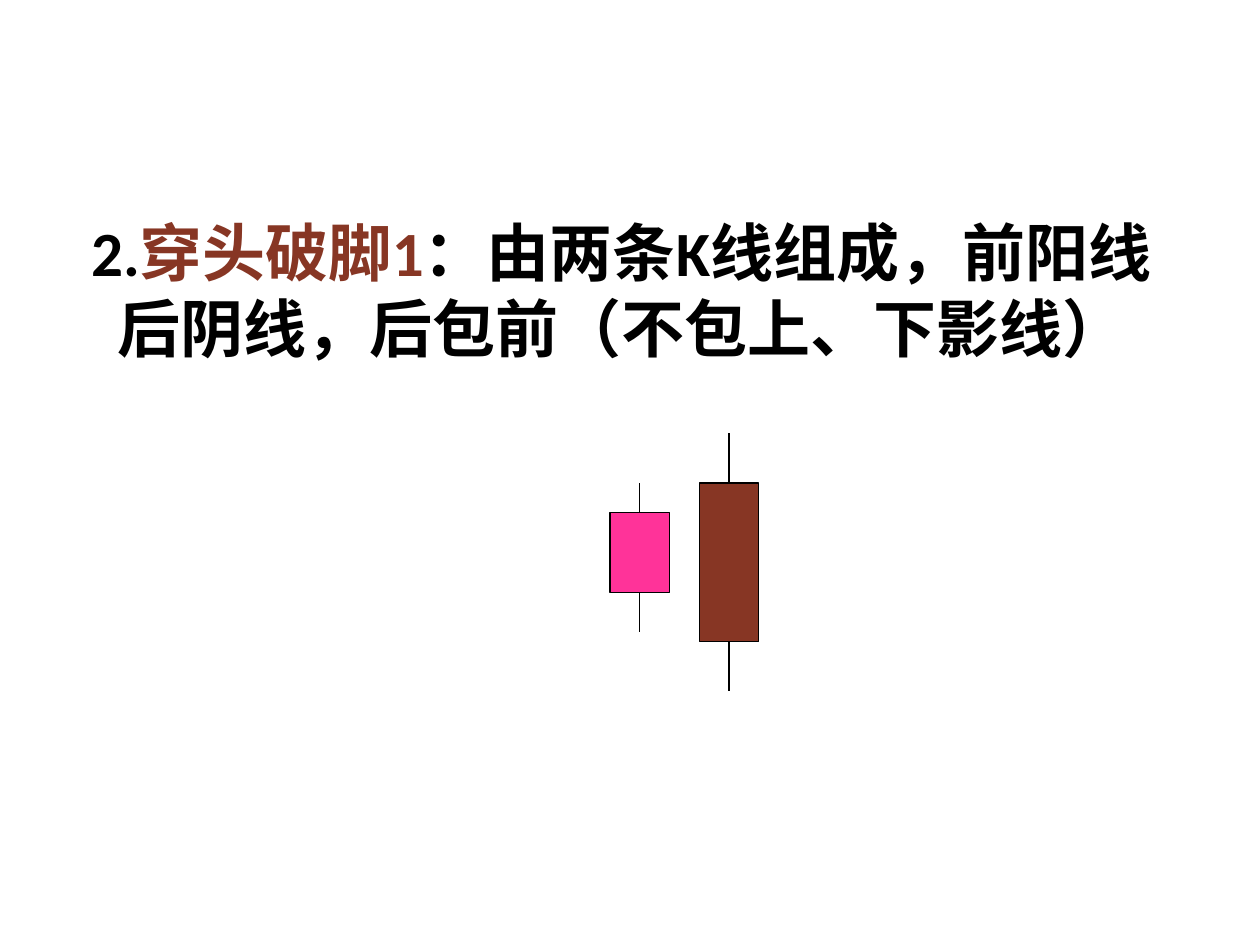
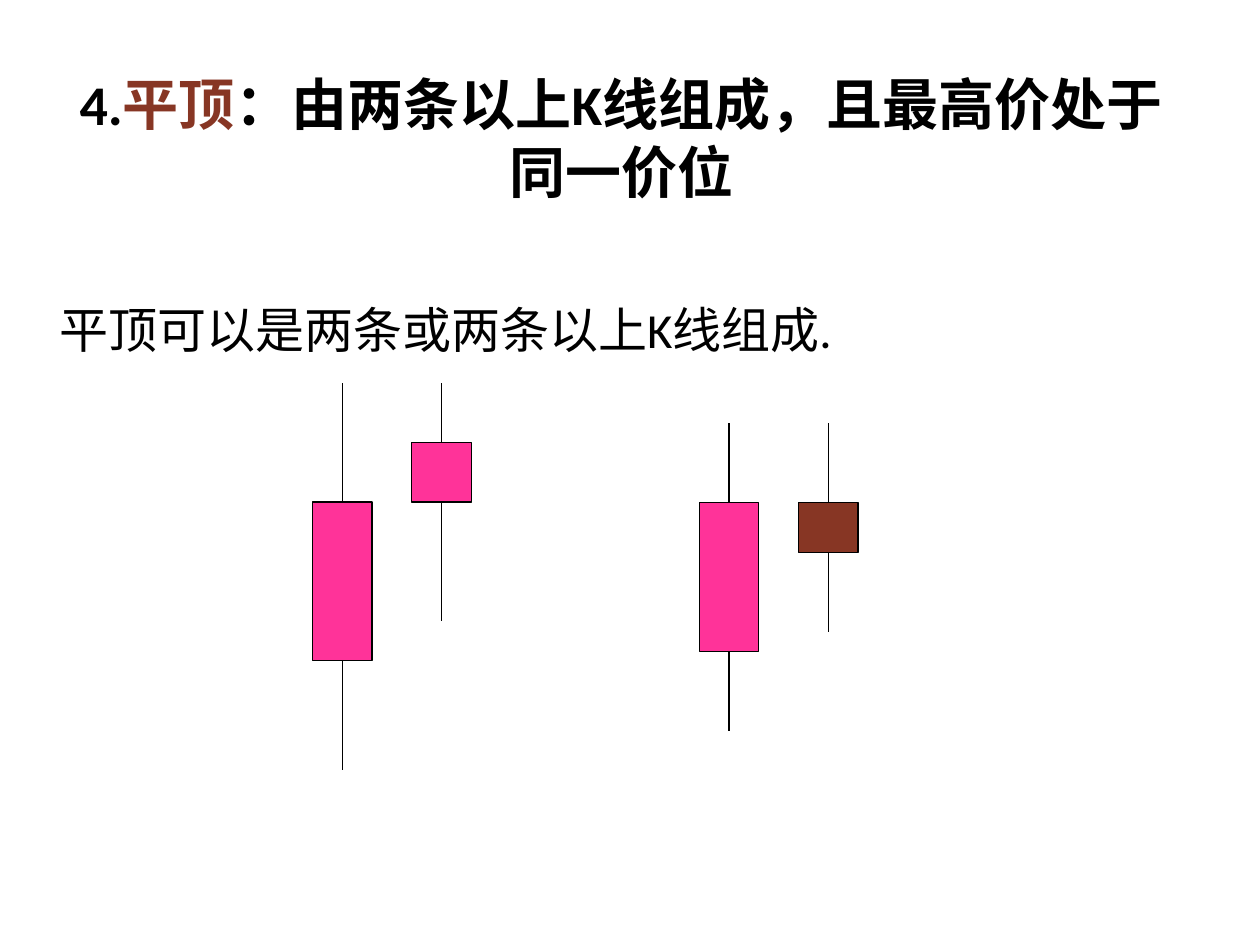
from lxml import etree
from pptx import Presentation
from pptx.dml.color import RGBColor
from pptx.enum.shapes import MSO_CONNECTOR, MSO_SHAPE
from pptx.enum.text import MSO_ANCHOR, PP_ALIGN
from pptx.oxml.ns import qn
from pptx.util import Pt

RECTANGLE = MSO_SHAPE.RECTANGLE
STRAIGHT = MSO_CONNECTOR.STRAIGHT
TOP, MIDDLE = MSO_ANCHOR.TOP, MSO_ANCHOR.MIDDLE
LEFT, CENTER = PP_ALIGN.LEFT, PP_ALIGN.CENTER
TOP_SITE, BOTTOM_SITE = 0, 2

COLORS = {"ink": "000000", "rising": "FF3399", "falling": "873624"}
FONT = "Calibri"
UNIT = 5.67
CANDLE_WIDTH = 6 * UNIT
LINE_WIDTH = 0.75


def rgb(name):
    return RGBColor.from_string(COLORS[name])


def add_text(slide, box, runs, size, bold=False, align=LEFT, anchor=TOP,
             left_inset=7.2, bottom_inset=3.6, space_before=0):
    frame = slide.shapes.add_textbox(*map(Pt, box)).text_frame
    frame.word_wrap = True
    frame.vertical_anchor = anchor
    frame.margin_left, frame.margin_right = Pt(left_inset), Pt(7.2)
    frame.margin_top, frame.margin_bottom = Pt(3.6), Pt(bottom_inset)
    paragraph = frame.paragraphs[0]
    paragraph.alignment = align
    paragraph.space_before = Pt(space_before)
    paragraph.font.name = FONT
    paragraph.font.size = Pt(size)
    paragraph.font.bold = bold
    for text, color in runs:
        run = paragraph.add_run()
        run.text = text
        run.font.color.rgb = rgb(color)


def add_title(slide, top, number, term, definition, size, bottom_inset=3.6):
    runs = [(number, "ink"), (term, "falling"), (definition, "ink")]
    add_text(slide, (31, top, 648, 108.7), runs, size, bold=True,
             align=CENTER, anchor=MIDDLE, bottom_inset=bottom_inset)


def add_shadow_line(slide, body, site, start, end):
    line = slide.shapes.add_connector(STRAIGHT, *map(Pt, start + end))
    if site == TOP_SITE:
        line.end_connect(body, site)
    else:
        line.begin_connect(body, site)
    line.line.color.rgb = rgb("ink")
    line.line.width = Pt(LINE_WIDTH)
    etree.SubElement(line._element.spPr, qn("a:effectLst"))


def add_candle(slide, left, top, levels, color):
    high, body_top, body_bottom, low = (top + level * UNIT for level in levels)
    body = slide.shapes.add_shape(RECTANGLE, Pt(left), Pt(body_top),
                                  Pt(CANDLE_WIDTH), Pt(body_bottom - body_top))
    body.shadow.inherit = False
    body.fill.solid()
    body.fill.fore_color.rgb = rgb(color)
    body.line.color.rgb = rgb("ink")
    body.line.width = Pt(LINE_WIDTH)
    center = left + CANDLE_WIDTH / 2
    add_shadow_line(slide, body, TOP_SITE, (center, high), (center, body_top))
    add_shadow_line(slide, body, BOTTOM_SITE, (center, body_bottom), (center, low))


def add_candles(slide, left, top, step, candles):
    for index, (levels, color) in enumerate(candles):
        add_candle(slide, left + index * step * UNIT, top, levels, color)


def build_engulfing_slide(slide):
    add_title(slide, 110.9, "2.", "穿头破脚1",
              "：由两条K线组成，前阳线后阴线，后包前（不包上、下影线）", 36)
    add_candles(slide, 348.6, 247.7, 9, [
        ((5, 8, 16, 20), "rising"),
        ((0, 5, 21, 26), "falling"),
    ])


def build_flat_top_slide(slide):
    add_title(slide, 43.2, "4.", "平顶",
              "：由两条以上K线组成，且最高价处于同一价位", 32, bottom_inset=42)
    add_text(slide, (0, 167.8, 720, 411.8),
             [("平顶可以是两条或两条以上K线组成.", "ink")], 28,
             left_inset=34.3, space_before=7)
    add_candles(slide, 178.6, 218.9, 10, [
        ((0, 12, 28, 39), "rising"),
        ((0, 6, 12, 24), "rising"),
    ])
    add_candles(slide, 399.6, 241.9, 10, [
        ((0, 8, 23, 31), "rising"),
        ((0, 8, 13, 21), "falling"),
    ])


def main():
    presentation = Presentation()
    presentation.slide_width, presentation.slide_height = Pt(720), Pt(540)
    blank = presentation.slide_layouts[6]
    for build in (build_engulfing_slide, build_flat_top_slide):
        build(presentation.slides.add_slide(blank))
    presentation.save("out.pptx")


if __name__ == "__main__":
    main()
